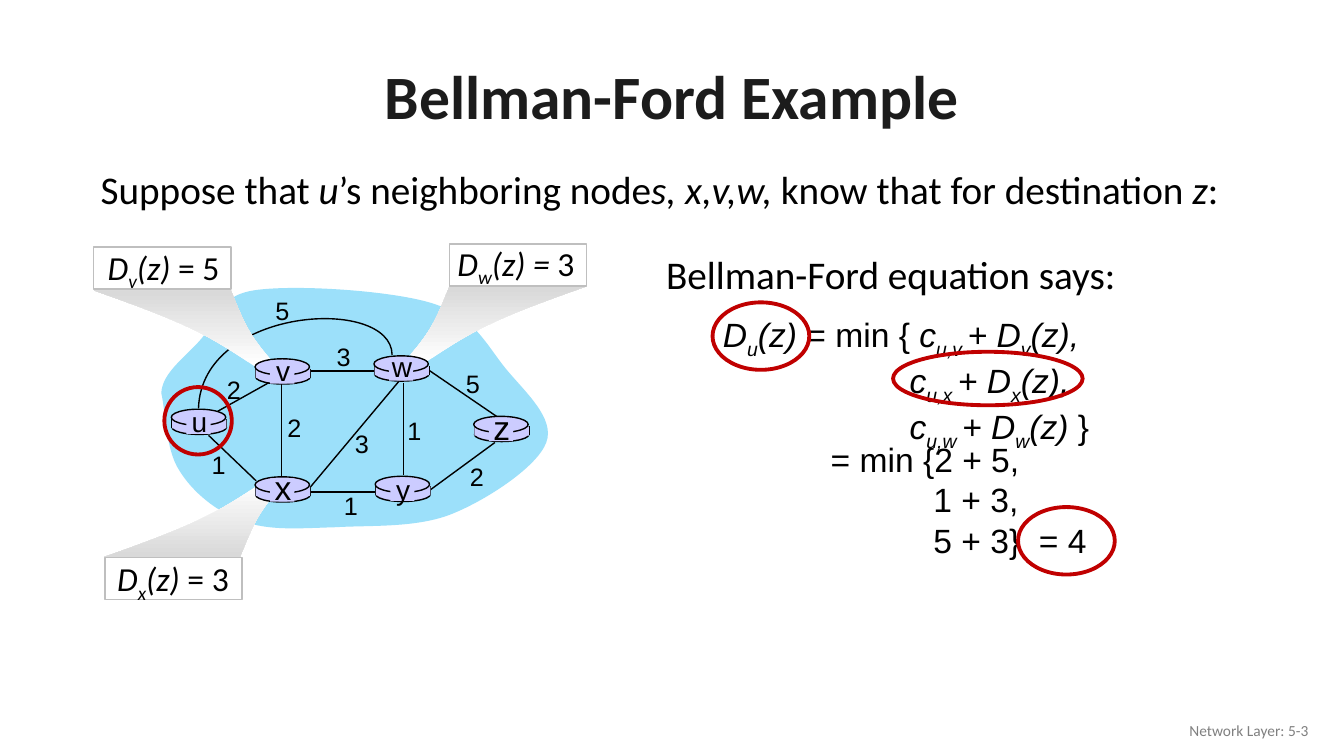
"""Build the Bellman-Ford example slide."""
from typing import NamedTuple

import pptx
import pptx.dml.color
import pptx.enum.shapes
import pptx.enum.text
import pptx.util
from pptx.oxml.ns import qn
from pptx.oxml.xmlchemy import OxmlElement

Pt = pptx.util.Pt
RGBColor = pptx.dml.color.RGBColor
Shape = pptx.enum.shapes.MSO_SHAPE
Align = pptx.enum.text.PP_ALIGN
Anchor = pptx.enum.text.MSO_ANCHOR

BLACK = RGBColor(0x00, 0x00, 0x00)
WHITE = RGBColor(0xFF, 0xFF, 0xFF)
TITLE = RGBColor(0x1C, 0x1C, 0x1C)
GREY = RGBColor(0x80, 0x80, 0x80)
BORDER = RGBColor(0xBF, 0xBF, 0xBF)
TAIL = RGBColor(0xD9, 0xD9, 0xD9)
CLOUD = RGBColor(0x9C, 0xE0, 0xFA)
ROUTER = RGBColor(0xCC, 0xCC, 0xFF)
RED = RGBColor(0xC0, 0x00, 0x00)


class Router(NamedTuple):
    name: str
    x: float
    y: float
    size: float = 20
    rise: float = 7


class Edge(NamedTuple):
    x1: float
    y1: float
    x2: float
    y2: float
    cost: str
    cost_x: float
    cost_y: float


class Callout(NamedTuple):
    text: str
    box_x: float
    box_y: float
    text_x: float
    text_y: float
    tail_x: float
    tail_y: float
    flip_x: int = 1
    flip_y: int = 1


ROUTERS = [
    Router("u", 122.4, 292.3),
    Router("y", 268, 340.2, 20, 6.5),
    Router("z", 338.4, 297.4, 24, 10),
    Router("v", 182.2, 256.3),
    Router("w", 267.1, 254.2, 20, 8),
    Router("x", 182.2, 340.6, 24, 10.5),
]
EDGES = [
    Edge(155.5, 293.8, 198, 270, "2", 167, 263.5),
    Edge(288, 273.6, 288, 339.1, "1", 295.9, 293),
    Edge(200.9, 274.3, 200.9, 341.3, "2", 210.2, 290.9),
    Edge(221.8, 347.8, 285.1, 272.2, "3", 258.5, 302.4),
    Edge(307.4, 349.9, 353.5, 316.1, "2", 340.6, 326.2),
    Edge(268.6, 351.4, 222.5, 351.4, "1", 250.6, 347),
    Edge(182.9, 343.4, 149, 311, "1", 156.2, 317.5),
    Edge(267.8, 265, 221.8, 265, "3", 245.5, 240.5),
    Edge(355.7, 298.1, 306, 264.2, "5", 337.7, 259.2),
]
CALLOUTS = [
    Callout("*D|~v|*(z) |= 5", 67, 176.4, 69.8, 172.8, 67, 207.4),
    Callout("*D|~w|*(z) = |3", 321.1, 174.2, 319.6, 169.9, 419, 204.5, flip_x=-1),
    Callout("*D|~x|*(z)| = 3", 74.9, 398.2, 76.6, 395.3, 73.4, 398.2, flip_y=-1),
]
RINGS = [(117.4, 276.5, 48.2, 48.2), (509, 216, 69.1, 48.2),
         (727.2, 362.2, 69.1, 48.2), (637.9, 251.3, 135.4, 38.2)]
CLOUD_CURVES = [
    [(115.9, 266.4), (131.8, 255.6), (142.6, 243.4)],
    [(154.1, 231.1), (154.1, 211.7), (181.4, 207.4)],
    [(209.5, 203), (279.4, 207.4), (308.9, 216.7)],
    [(339.1, 226.1), (347.8, 247), (361.4, 263.5)],
    [(375.1, 280.1), (396.7, 298.8), (390.2, 316.1)],
    [(383.8, 333.4), (347.8, 357.1), (322.6, 367.2)],
    [(297.4, 377.3), (264.2, 375.1), (239.8, 376.6)],
    [(214.6, 377.3), (192.2, 379.4), (173.5, 372.2)],
    [(154.8, 365.8), (137.5, 351.4), (128.2, 336.2)],
    [(118.1, 321.1), (118.1, 292.3), (115.2, 280.8)],
]
TAIL_CURVES = [
    [(114.5, 54)],
    [(81.4, 31.7), (67.7, 23.8), (0, 0)],
    [(97.9, 0)],
    [(108, 25.2), (111.6, 32.4), (126, 49)],
]


def add_text(s, text: str, x: float, y: float, w: float, h: float, *, size: float,
             font="Arial", color=BLACK, bold=False, align=Align.LEFT,
             anchor=Anchor.TOP, spacing=1.0, indent=0.0) -> None:
    """Add runs split by "|": "*" is italic, "~" italic subscript, "^" widely spaced."""
    tf = s.shapes.add_textbox(Pt(x), Pt(y), Pt(w), Pt(h)).text_frame
    tf.word_wrap = True
    tf.vertical_anchor = anchor
    for i, line in enumerate(text.split("\n")):
        p = tf.paragraphs[0] if i == 0 else tf.add_paragraph()
        p.alignment, p.line_spacing = align, spacing
        if i and indent:
            p._p.get_or_add_pPr().set("marL", str(Pt(indent)))
        for part in line.split("|"):
            r = p.add_run()
            r.text = part.lstrip("*~^")
            r.font.name, r.font.size, r.font.bold = font, Pt(size), bold
            r.font.italic = part[0] in "*~"
            r.font.color.rgb = color
            if part[0] == "~":
                r._r.get_or_add_rPr().set("baseline", "-25000")
            elif part[0] == "^":
                r._r.get_or_add_rPr().set("spc", "667")


def style(sp, fill=None, line=None, width: float = 1) -> None:
    """Set fill and outline and drop the shadow."""
    sp.shadow.inherit = False
    if fill is None:
        sp.fill.background()
    else:
        sp.fill.solid()
        sp.fill.fore_color.rgb = fill
    if line is None:
        sp.line.fill.background()
    else:
        sp.line.color.rgb = line
        sp.line.width = Pt(width)


def add_shape(s, kind, x: float, y: float, w: float, h: float, **fmt) -> None:
    """Add a styled preset shape."""
    style(s.shapes.add_shape(kind, Pt(x), Pt(y), Pt(w), Pt(h)), **fmt)


def add_line(s, x1: float, y1: float, x2: float, y2: float) -> None:
    """Add a thin black line."""
    cx = s.shapes.add_connector(pptx.enum.shapes.MSO_CONNECTOR.STRAIGHT,
                                Pt(x1), Pt(y1), Pt(x2), Pt(y2))
    cx.line.color.rgb = BLACK
    cx.line.width = Pt(1)
    cx._element.spPr.append(OxmlElement("a:effectLst"))


def add_outline(s, start: tuple, curves: list, closed=True, **fmt):
    """Add a freeform of straight pieces and cubic curves."""
    fb = s.shapes.build_freeform(Pt(start[0]), Pt(start[1]))
    fb.add_line_segments([(Pt(x), Pt(y)) for cv in curves for x, y in cv], close=closed)
    sp = fb.convert_to_shape()
    segments = iter(list(sp._element.iter(qn("a:lnTo"))))
    for cv in curves:
        pieces = [next(segments) for _ in cv]
        if len(pieces) == 3:
            bezier = OxmlElement("a:cubicBezTo")
            pieces[0].addprevious(bezier)
            for piece in pieces:
                bezier.append(piece[0])
                piece.getparent().remove(piece)
    style(sp, **fmt)
    return sp


def add_router(s, n: Router) -> None:
    """Draw a router disc with its name."""
    w = 38.9
    add_shape(s, Shape.OVAL, n.x + 0.5, n.y + 8, w, 10, fill=ROUTER, line=BLACK)
    for x in (n.x + 0.5, n.x + 0.5 + w):
        add_line(s, x, n.y + 7.2, x, n.y + 13.5)
    add_shape(s, Shape.RECTANGLE, n.x + 0.5, n.y + 7.2, w, 6.5, fill=ROUTER)
    add_shape(s, Shape.OVAL, n.x, n.y, w, 11.5, fill=ROUTER, line=BLACK)
    add_shape(s, Shape.RECTANGLE, n.x + 10.8, n.y + 1.2, 17.3, 16.5, fill=ROUTER)
    add_text(s, n.name, n.x, n.y - n.rise, 40, 31, size=n.size, align=Align.CENTER)


def add_callout(s, c: Callout) -> None:
    """Draw a boxed distance with its fading tail."""
    def place(pt: tuple) -> tuple:
        return c.tail_x + c.flip_x * pt[0], c.tail_y + c.flip_y * pt[1]

    sp = add_outline(s, place((126, 49)), [[place(pt) for pt in cv] for cv in TAIL_CURVES])
    sp.fill.gradient()
    sp.fill.gradient_angle = 90 if c.flip_y > 0 else 270
    for stop, color, pos in zip(sp.fill.gradient_stops, (WHITE, TAIL), (0, 0.98)):
        stop.color.rgb, stop.position = color, pos
    add_shape(s, Shape.RECTANGLE, c.box_x, c.box_y, 97.9, 30.2, fill=WHITE, line=BORDER)
    add_text(s, c.text, c.text_x, c.text_y, 100, 36, size=24, font="Calibri")


def main() -> None:
    """Build and save the slide."""
    prs = pptx.Presentation()
    prs.slide_width, prs.slide_height = Pt(960), Pt(540)
    s = prs.slides.add_slide(prs.slide_layouts[6])
    add_text(s, "Bellman-Ford Example", 66, 35.8, 828, 70.6, size=44, font="Calibri",
             color=TITLE, bold=True, align=Align.CENTER, anchor=Anchor.MIDDLE, spacing=0.9)
    add_text(s, "Network Layer: 5-3", 725.8, 507.6, 216, 28.8, size=11, font="Calibri",
             color=GREY, align=Align.RIGHT, anchor=Anchor.MIDDLE)
    add_text(s, "Suppose that |*u|’s neighboring node|*s, x,v,w, |know that for destination|* z|:",
             64.8, 114.5, 871, 41, size=28, font="Calibri")
    add_outline(s, (115.2, 280.8), CLOUD_CURVES, fill=CLOUD)
    add_outline(s, (280.1, 253.4), [[(279.4, 211), (144, 218.9), (141.8, 291.6)]],
                closed=False, line=BLACK)
    for e in EDGES:
        add_line(s, e.x1, e.y1, e.x2, e.y2)
    costs = [(e.cost, e.cost_x, e.cost_y) for e in EDGES] + [("5", 201.6, 207.4)]
    for cost, x, y in costs:
        add_text(s, cost, x - 12.2, y, 24.5, 28.8, size=18, align=Align.CENTER)
    for c in CALLOUTS:
        add_callout(s, c)
    for n in ROUTERS:
        add_router(s, n)
    add_text(s, "*D|~u|*(z) |= min { |*c|~u,v |*+ D|~v|*(z),\n"
                "*c|~u,x |*+ D|~x|*(z),\n*c|~u,w |*+ D|~w|*(z) |}",
             509.3, 221, 283, 94.3, size=24, indent=133.4)
    add_text(s, "Bellman-Ford equation says:", 468.7, 175.2, 341.3, 41, size=28, font="Calibri")
    add_text(s, "= min {2 + 5,\n1 + 3,\n5 + 3}|^ |= 4", 586.3, 309.9, 205.2, 94.3,
             size=24, indent=73.4)
    for ring in RINGS:
        add_shape(s, Shape.OVAL, *ring, line=RED, width=2.75)
    prs.save("out.pptx")


if __name__ == "__main__":
    main()
